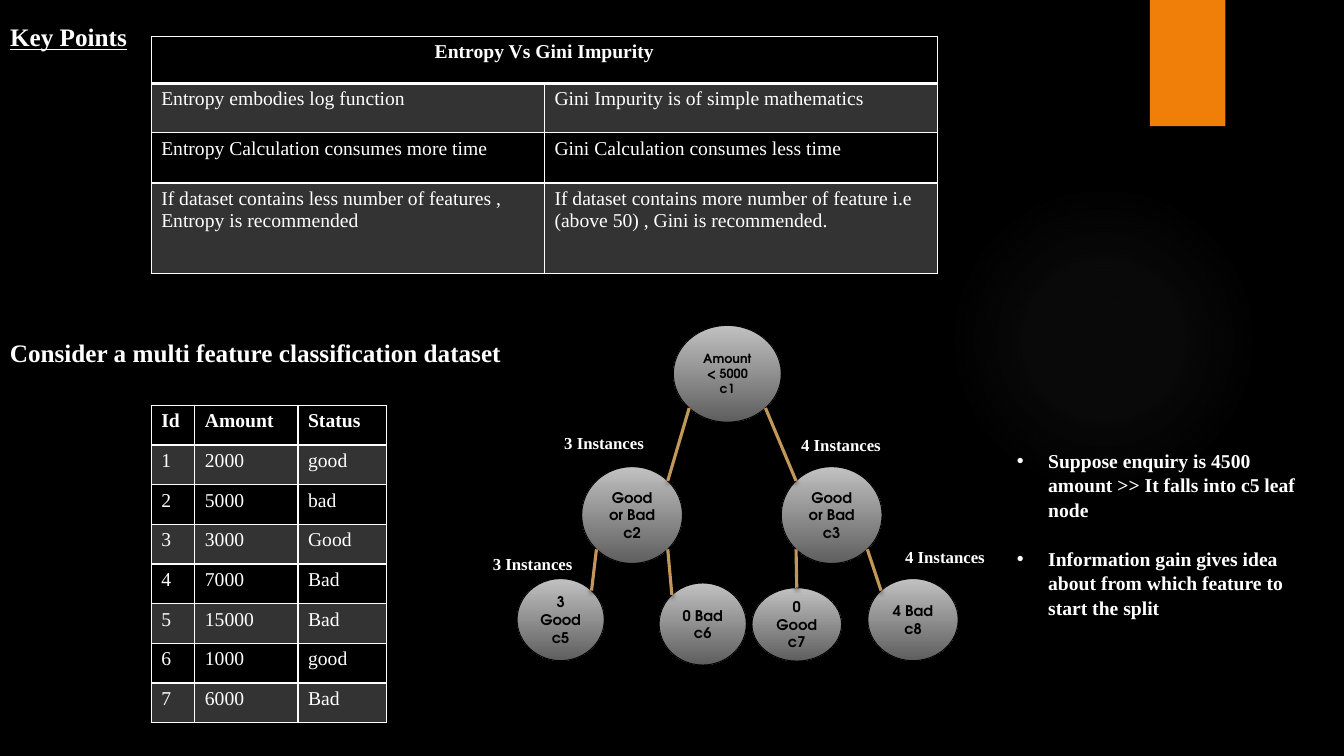
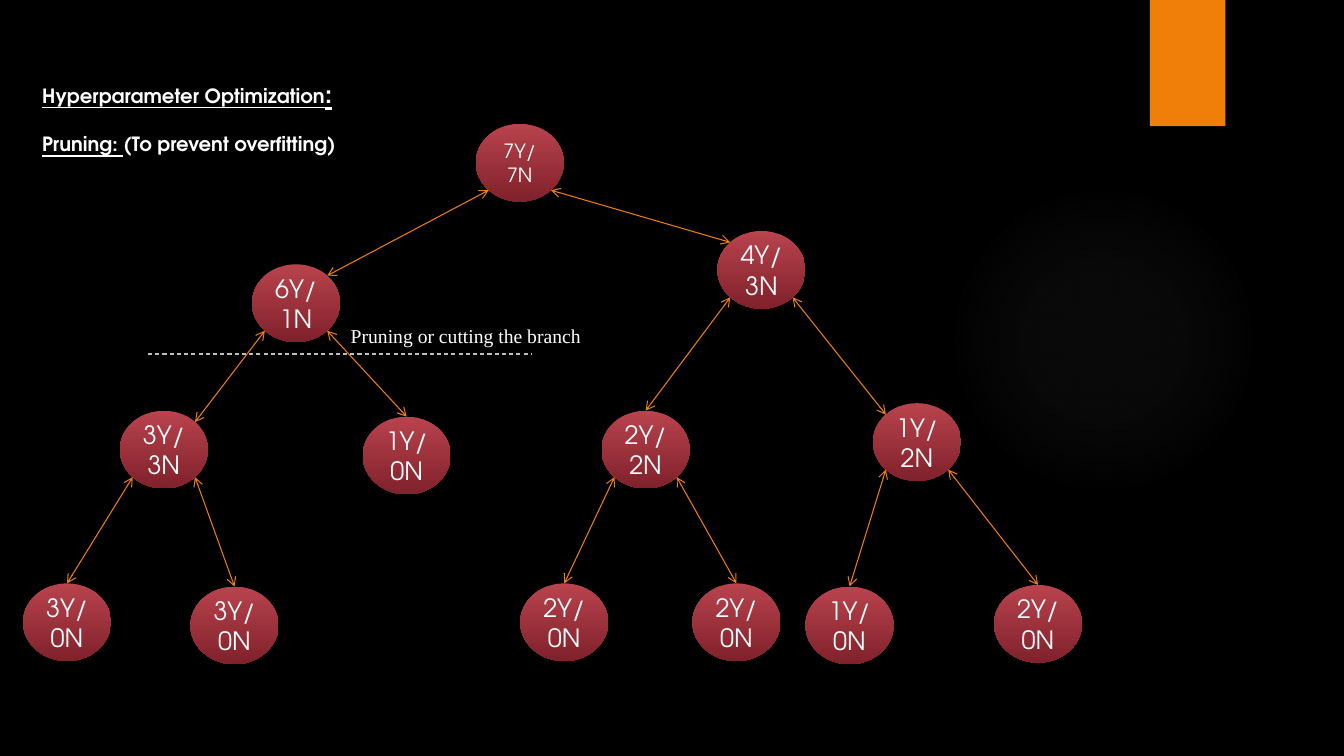
from math import cos, pi, sin

from lxml.etree import SubElement
from pptx import Presentation
from pptx.dml.color import RGBColor
from pptx.enum.dml import MSO_LINE
from pptx.enum.shapes import MSO_CONNECTOR, MSO_SHAPE
from pptx.enum.text import MSO_ANCHOR, MSO_AUTO_SIZE, PP_ALIGN
from pptx.oxml import parse_xml
from pptx.oxml.ns import nsdecls, qn
from pptx.util import Cm, Pt

STRAIGHT = MSO_CONNECTOR.STRAIGHT
CENTER, LEFT = PP_ALIGN.CENTER, PP_ALIGN.LEFT
TOP, MIDDLE = MSO_ANCHOR.TOP, MSO_ANCHOR.MIDDLE
TITLE_AND_CONTENT, TITLE_ONLY = 1, 5
# Connection sites of a circle, counter-clockwise from the top
SITE_TOP, SITE_TOP_LEFT, SITE_BOTTOM_LEFT, SITE_BOTTOM_RIGHT, SITE_TOP_RIGHT = 0, 1, 3, 5, 7


class Theme:
    background, text, node_text = "000000", "FFFFFF", "000000"
    accent, branch, cut_line = "F07F09", "C19859", "BFBFBF"
    glow, band = "848484", "333333"
    grey_node = ("C1C1C1", "5E5E5E")
    red_node = ("B8434D", "80212B")
    serif, sans = "Times New Roman", "TeX Gyre Adventor"
    heading, body, label, node, root_node = 18, 14, 12, 10.5, 9
    soft_shadow = (45, 3, 2)     # opacity in percent, blur and distance in points
    node_shadow = (60, 5, 3)


COMPARISON = {
    "position": (3.81, 0.91), "columns": (9.91, 9.91), "rows": (1.19, 1.24, 1.27, 2.29),
    "cells": [
        ("Entropy Vs Gini Impurity", ""),
        ("Entropy embodies log function", "Gini Impurity is of simple mathematics"),
        ("Entropy Calculation consumes more time", "Gini Calculation consumes less time"),
        ("If dataset contains less number of features , Entropy is recommended",
         "If dataset contains more number of feature i.e (above 50) , Gini is recommended."),
    ],
}
DATASET = {
    "position": (3.81, 10.21), "columns": (1.1, 2.6, 2.22), "rows": (1,) * 8,
    "cells": [
        ("Id", "Amount", "Status"),
        ("1", "2000", "good"), ("2", "5000", "bad"), ("3", "3000", "Good"),
        ("4", "7000", "Bad"), ("5", "15000", "Bad"), ("6", "1000", "good"),
        ("7", "6000", "Bad"),
    ],
}
# name: (text, left, top, width, height)
INSTANCE_NODES = {
    "c1": ("Amount\n< 5000\nc1", 16.97, 8.2, 2.72, 2.44),
    "c2": ("Good\nor Bad\nc2", 14.66, 11.76, 2.54, 2.44),
    "c3": ("Good\nor Bad\nc3", 19.69, 11.76, 2.54, 2.44),
    "c5": ("3\nGood\nc5", 13.03, 14.58, 2.2, 2.07),
    "c6": ("0 Bad\nc6", 16.61, 14.69, 2.2, 2.07),
    "c7": ("0\nGood\nc7", 18.95, 14.81, 2.26, 1.85),
    "c8": ("4 Bad\nc8", 21.87, 14.58, 2.28, 2.07),
}
# parent, its site, child, its site
INSTANCE_LINKS = [
    ("c1", SITE_BOTTOM_LEFT, "c2", SITE_TOP_RIGHT),
    ("c1", SITE_BOTTOM_RIGHT, "c3", SITE_TOP_LEFT),
    ("c2", SITE_BOTTOM_LEFT, "c5", SITE_TOP_RIGHT),
    ("c2", SITE_BOTTOM_RIGHT, "c6", SITE_TOP_LEFT),
    ("c3", SITE_BOTTOM_LEFT, "c7", SITE_TOP),
    ("c3", SITE_BOTTOM_RIGHT, "c8", SITE_TOP_LEFT),
]
INSTANCE_LABELS = [
    ("3 Instances", 13.97, 10.77), ("4 Instances", 19.94, 10.82),
    ("4 Instances", 22.56, 13.64), ("3 Instances", 12.17, 13.82),
]
FINDINGS = [
    "Suppose enquiry is 4500 amount >> It falls into c5 leaf node",
    "Information gain gives idea about from which feature to start the split",
]
PRUNING_SIZE = (2.22, 1.96)
# name: (text, left, top)
PRUNING_NODES = {
    "root": ("7Y/\n7N", 11.99, 3.12),
    "left": ("6Y/\n1N", 6.35, 6.66),
    "right": ("4Y/\n3N", 18.08, 5.82),
    "left mixed": ("3Y/\n3N", 3.02, 10.35),
    "left pure": ("1Y/\n0N", 9.14, 10.5),
    "right even": ("2Y/\n2N", 15.16, 10.35),
    "right mixed": ("1Y/\n2N", 22, 10.16),
    "leaf 1": ("3Y/\n0N", 0.58, 14.7),
    "leaf 2": ("3Y/\n0N", 4.8, 14.78),
    "leaf 3": ("2Y/\n0N", 13.11, 14.7),
    "leaf 4": ("2Y/\n0N", 17.45, 14.7),
    "leaf 5": ("1Y/\n0N", 20.3, 14.78),
    "leaf 6": ("2Y/\n0N", 25.05, 14.74),
}
PRUNING_LINKS = [
    ("root", SITE_BOTTOM_LEFT, "left", SITE_TOP_RIGHT),
    ("root", SITE_BOTTOM_RIGHT, "right", SITE_TOP_LEFT),
    ("left", SITE_BOTTOM_LEFT, "left mixed", SITE_TOP_RIGHT),
    ("left", SITE_BOTTOM_RIGHT, "left pure", SITE_TOP),
    ("right", SITE_BOTTOM_LEFT, "right even", SITE_TOP),
    ("right", SITE_BOTTOM_RIGHT, "right mixed", SITE_TOP_LEFT),
    ("left mixed", SITE_BOTTOM_LEFT, "leaf 1", SITE_TOP),
    ("left mixed", SITE_BOTTOM_RIGHT, "leaf 2", SITE_TOP),
    ("right even", SITE_BOTTOM_LEFT, "leaf 3", SITE_TOP),
    ("right even", SITE_BOTTOM_RIGHT, "leaf 4", SITE_TOP),
    ("right mixed", SITE_BOTTOM_LEFT, "leaf 5", SITE_TOP),
    ("right mixed", SITE_BOTTOM_RIGHT, "leaf 6", SITE_TOP),
]


def rgb(color):
    return RGBColor.from_string(color)


def style_run(run, size, font=Theme.serif, color=Theme.text, bold=False, underline=False):
    run.font.name, run.font.size, run.font.color.rgb = font, Pt(size), rgb(color)
    run.font.bold, run.font.underline = bold, underline


def style_text(text_frame, size, align=LEFT, **font_options):
    for paragraph in text_frame.paragraphs:
        paragraph.alignment = align
        for run in paragraph.runs:
            style_run(run, size, **font_options)


def place(shape, left, top, width, height):
    shape.left, shape.top, shape.width, shape.height = map(Cm, (left, top, width, height))
    shape.text_frame.auto_size = MSO_AUTO_SIZE.NONE
    shape.text_frame.vertical_anchor = TOP
    shape.text_frame.word_wrap = True


def add_text(slide, text, left, top, width, height, size, **font_options):
    box = slide.shapes.add_textbox(0, 0, 0, 0)
    place(box, left, top, width, height)
    box.text_frame.text = text
    style_text(box.text_frame, size, **font_options)
    return box


def set_effects(shape, shadow=None):
    """Replace the theme's effect with the given downward shadow, or with none."""
    effects = SubElement(shape._element.spPr, qn("a:effectLst"))
    if shadow:
        opacity, blur, distance = shadow
        outer = SubElement(effects, qn("a:outerShdw"), blurRad=str(Pt(blur)),
                           dist=str(Pt(distance)), dir="5400000", rotWithShape="0")
        color = SubElement(outer, qn("a:srgbClr"), val="000000")
        SubElement(color, qn("a:alpha"), val=str(opacity * 1000))


def decorate_master(presentation, slide):
    """Set the background, glow and accent bar that all slides inherit."""
    master = presentation.slide_master
    fill = master.background.fill
    fill.solid()
    fill.fore_color.rgb = rgb(Theme.background)

    glow = slide.shapes.add_shape(MSO_SHAPE.OVAL, *map(Cm, (23.9, 4.65, 7.82, 7.82)))
    glow.fill.gradient()
    stops = "".join(
        f'<a:gs pos="{position}000"><a:srgbClr val="{Theme.glow}">'
        f'<a:alpha val="{opacity}000"/></a:srgbClr></a:gs>'
        for position, opacity in ((0, 7), (36, 6), (69, 0)))
    radial = parse_xml(
        f'<a:gradFill {nsdecls("a")}><a:gsLst>{stops}</a:gsLst><a:path path="circle">'
        '<a:fillToRect l="50000" t="50000" r="50000" b="50000"/></a:path></a:gradFill>')
    properties = glow._element.spPr
    properties.replace(properties.find(qn("a:gradFill")), radial)

    bar = slide.shapes.add_shape(MSO_SHAPE.RECTANGLE, *map(Cm, (28.98, 0, 1.9, 3.18)))
    bar.fill.solid()
    bar.fill.fore_color.rgb = rgb(Theme.accent)

    for index, (shape, shadow) in enumerate(((glow, None), (bar, Theme.soft_shadow))):
        shape.line.fill.background()
        set_effects(shape, shadow)
        shape._element.nvSpPr.cNvPr.set("id", str(100 + index))
        master.shapes._spTree.insert(2 + index, shape._element)


def set_borders(cell, top, bottom):
    properties = cell._tc.get_or_add_tcPr()
    for side, width in (("L", 1), ("R", 1), ("T", top), ("B", bottom)):
        line = SubElement(properties, qn(f"a:ln{side}"), w=str(Pt(width)))
        SubElement(SubElement(line, qn("a:solidFill")), qn("a:srgbClr"), val=Theme.text)


def add_banded_table(slide, data):
    columns, rows, cells = data["columns"], data["rows"], data["cells"]
    table = slide.shapes.add_table(
        len(rows), len(columns),
        *map(Cm, (*data["position"], sum(columns), sum(rows)))).table
    table.horz_banding = False
    for column, width in zip(table.columns, columns):
        column.width = Cm(width)
    for row_index, (row, height, texts) in enumerate(zip(table.rows, rows, cells)):
        row.height = Cm(height)
        for cell, text in zip(row.cells, texts):
            set_borders(cell, top=2 if row_index == 1 else 1, bottom=2 if row_index == 0 else 1)
            cell.fill.solid()
            cell.fill.fore_color.rgb = rgb(Theme.band if row_index % 2 else Theme.background)
            cell.text_frame.text = text
            style_text(cell.text_frame, Theme.body, bold=row_index == 0)
    return table


def add_node(slide, preset, text, box, colors, shadow=None, outline=None, **text_options):
    node = slide.shapes.add_shape(preset, *map(Cm, box))
    node.fill.gradient()
    node.fill.gradient_angle = 270
    for stop, color in zip(node.fill.gradient_stops, colors):
        stop.color.rgb = rgb(color)
    if outline:
        node.line.color.rgb, node.line.width = rgb(outline), Pt(0.75)
    else:
        node.line.fill.background()
    set_effects(node, shadow)
    frame = node.text_frame
    frame.margin_left = frame.margin_right = 0
    frame.vertical_anchor = MIDDLE
    frame.text = text
    style_text(frame, align=CENTER, font=Theme.sans, **text_options)
    return node


def site_point(node, site):
    angle = site * pi / 4
    return (int(node.left + node.width / 2 * (1 - sin(angle))),
            int(node.top + node.height / 2 * (1 - cos(angle))))


def add_links(slide, nodes, links, color, width, shadow=None, arrows=False):
    for parent, parent_site, child, child_site in links:
        ends = (("st", nodes[parent], parent_site), ("end", nodes[child], child_site))
        (begin, end) = [site_point(node, site) for _, node, site in ends]
        link = slide.shapes.add_connector(STRAIGHT, *begin, *end)
        for prefix, node, site in ends:
            SubElement(link._element.nvCxnSpPr.cNvCxnSpPr, qn(f"a:{prefix}Cxn"),
                       id=str(node.shape_id), idx=str(site))
        link.line.color.rgb, link.line.width = rgb(color), Pt(width)
        if arrows:
            for tag in ("a:headEnd", "a:tailEnd"):
                SubElement(link.line._get_or_add_ln(), qn(tag), type="arrow")
        set_effects(link, shadow)


def build_key_points(slide):
    title, body = slide.placeholders
    place(title, 0, 0.41, 3.8, 1.02)
    title.text_frame.text = "Key Points"
    style_text(title.text_frame, Theme.heading, bold=True, underline=True)

    comparison = add_banded_table(slide, COMPARISON)
    comparison.cell(0, 0).merge(comparison.cell(0, 1))
    comparison.cell(0, 0).text_frame.paragraphs[0].alignment = CENTER
    add_text(slide, "Consider a multi feature classification dataset",
             0, 8.38, 18.67, 1.02, Theme.heading, bold=True)
    add_banded_table(slide, DATASET)

    nodes = {
        name: add_node(slide, MSO_SHAPE.FLOWCHART_CONNECTOR, text, box, Theme.grey_node,
                       outline=Theme.background, color=Theme.node_text, bold=True,
                       size=Theme.root_node if name == "c1" else Theme.node)
        for name, (text, *box) in INSTANCE_NODES.items()}
    add_links(slide, nodes, INSTANCE_LINKS, Theme.branch, 2.25, Theme.soft_shadow)
    for text, left, top in INSTANCE_LABELS:
        add_text(slide, text, left, top, 4.37, 0.76, Theme.label, bold=True)

    place(body, 25.37, 11.15, 7.8, 4.45)
    body.text_frame.text = "\n".join(FINDINGS)
    style_text(body.text_frame, Theme.body, bold=True)
    for index, paragraph in enumerate(body.text_frame.paragraphs):
        paragraph.line_spacing = 1.05
        paragraph.space_before = Pt(17 * index)
        properties = paragraph._p.get_or_add_pPr()
        properties.set("marL", str(Cm(0.79)))
        properties.set("indent", str(-Cm(0.79)))


def build_pruning(slide):
    title = slide.shapes.title
    place(title, 0.81, 1.85, 10, 1.1)
    paragraph = title.text_frame.paragraphs[0]
    paragraph.alignment = LEFT
    for text, size in (("Hyperparameter Optimization", Theme.body), (":", Theme.heading)):
        run = paragraph.add_run()
        run.text = text
        style_run(run, size, Theme.sans, bold=True, underline=True)

    subtitle = add_text(slide, "Pruning: ", 0.81, 3.21, 10, 0.86, Theme.body,
                        font=Theme.sans, bold=True, underline=True)
    remark = subtitle.text_frame.paragraphs[0].add_run()
    remark.text = "(To prevent overfitting)"
    style_run(remark, Theme.body, Theme.sans, bold=True)

    nodes = {
        name: add_node(slide, MSO_SHAPE.OVAL, text, (left, top, *PRUNING_SIZE), Theme.red_node,
                       shadow=Theme.node_shadow,
                       size=Theme.body if name == "root" else Theme.heading)
        for name, (text, left, top) in PRUNING_NODES.items()}
    add_links(slide, nodes, PRUNING_LINKS, Theme.accent, 0.75, arrows=True)

    cut = slide.shapes.add_connector(STRAIGHT, *map(Cm, (3.73, 8.92, 13.41, 8.92)))
    cut.line.color.rgb, cut.line.width = rgb(Theme.cut_line), Pt(0.75)
    cut.line.dash_style = MSO_LINE.DASH
    set_effects(cut)
    add_text(slide, "Pruning or cutting the branch", 8.59, 8.05, 7.14, 0.86, Theme.body)


def main():
    presentation = Presentation()
    presentation.slide_width, presentation.slide_height = Cm(33.87), Cm(19.05)
    layouts = presentation.slide_layouts
    key_points = presentation.slides.add_slide(layouts[TITLE_AND_CONTENT])
    decorate_master(presentation, key_points)
    build_key_points(key_points)
    build_pruning(presentation.slides.add_slide(layouts[TITLE_ONLY]))
    presentation.save("out.pptx")


if __name__ == "__main__":
    main()
